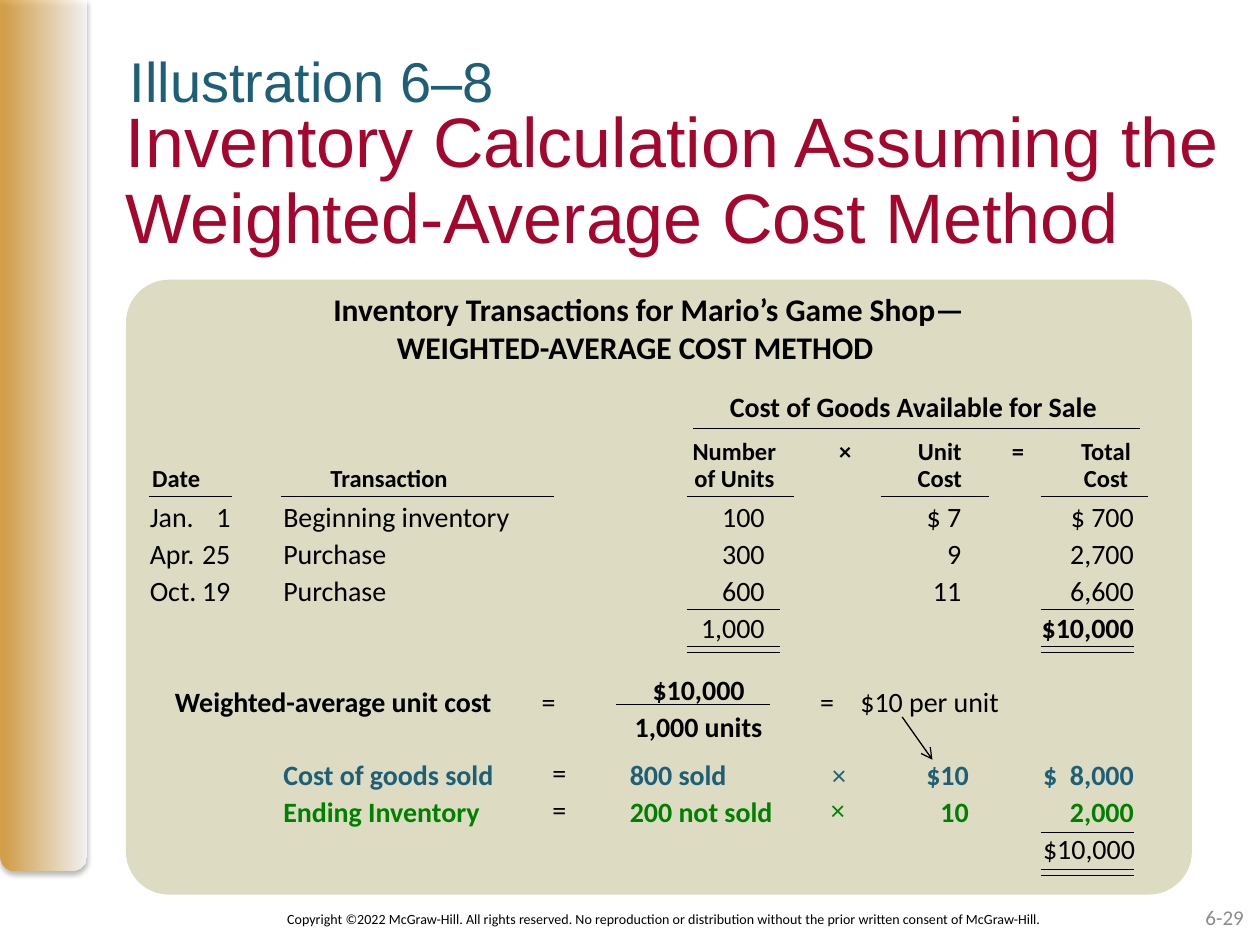
from typing import NamedTuple

from lxml import etree
from pptx import Presentation
from pptx.dml.color import RGBColor
from pptx.enum.shapes import MSO_CONNECTOR, MSO_SHAPE
from pptx.enum.text import MSO_ANCHOR, PP_ALIGN as Align
from pptx.oxml.ns import qn
from pptx.util import Inches, Pt

BLACK, TEAL, GREEN, CRIMSON, GRAY = "000000", "1D5F76", "008000", "A5062D", "8C8C8C"


class Span(NamedTuple):
    text: str
    bold: bool = False
    color: str = BLACK


class Tab(NamedTuple):
    position: float
    align: str = "l"


class Line(NamedTuple):
    spans: list[Span]
    tabs: list[Tab] = []
    space_before: float = 0


class Box(NamedTuple):
    left: float
    top: float
    width: float
    height: float


class Rule(NamedTuple):
    left: float
    right: float
    y: float


def rgb(hex_color: str) -> RGBColor:
    return RGBColor.from_string(hex_color)


def child(parent, tag: str, **attributes):
    element = etree.SubElement(parent, qn(tag))
    for name, value in attributes.items():
        element.set(name, str(value))
    return element


def set_opacity(fill_element, percent: int) -> None:
    for color in fill_element.iter(qn("a:srgbClr")):
        child(color, "a:alpha", val=percent * 1000)


def add_text(slide, box: Box, lines: list[Line], size: float, font: str = "Calibri",
             align: Align = Align.LEFT, spacing: float = 1.0, inset: bool = True,
             anchor: MSO_ANCHOR = MSO_ANCHOR.TOP) -> None:
    frame = slide.shapes.add_textbox(*map(Inches, box)).text_frame
    frame.word_wrap = True
    frame.vertical_anchor = anchor
    if not inset:
        frame.margin_left = frame.margin_right = frame.margin_top = frame.margin_bottom = 0
    for index, line in enumerate(lines):
        paragraph = frame.paragraphs[0] if index == 0 else frame.add_paragraph()
        if line.tabs:
            tab_list = child(paragraph._p.get_or_add_pPr(), "a:tabLst")
            for tab in line.tabs:
                child(tab_list, "a:tab", pos=Inches(tab.position), algn=tab.align)
        paragraph.alignment = align
        paragraph.line_spacing = spacing
        if line.space_before:
            paragraph.space_before = Pt(line.space_before)
        for span in line.spans:
            run = paragraph.add_run()
            run.text = span.text
            run.font.name, run.font.size, run.font.bold = font, Pt(size), span.bold
            run.font.color.rgb = rgb(span.color)


def add_line(slide, x1: float, y1: float, x2: float, y2: float, arrow: bool = False) -> None:
    connector = slide.shapes.add_connector(MSO_CONNECTOR.STRAIGHT, *map(Inches, (x1, y1, x2, y2)))
    connector.line.color.rgb = rgb(BLACK)
    connector.line.width = Pt(0.75)
    if arrow:
        child(connector.line._ln, "a:tailEnd", type="arrow")
    child(connector._element.spPr, "a:effectLst")


def add_sidebar(slide) -> None:
    bar = slide.shapes.add_shape(MSO_SHAPE.ROUND_2_SAME_RECTANGLE, 0, 0, Inches(0.69), Inches(6.91))
    properties = bar._element.spPr
    properties.find(qn("a:xfrm")).set("flipV", "1")
    bar.line.fill.background()
    bar.fill.gradient()
    bar.fill.gradient_angle = 0
    for stop, color, position in zip(bar.fill.gradient_stops, ("D49323", "FFFFFF"), (0, 1)):
        stop.color.rgb = rgb(color)
        stop.position = position
    set_opacity(properties.find(qn("a:gradFill")), 80)
    effects = child(properties, "a:effectLst")
    shadow = child(effects, "a:outerShdw", blurRad=Pt(3.1), dist=Pt(1.8), dir=90 * 60000, rotWithShape=0)
    child(child(shadow, "a:srgbClr", val=BLACK), "a:alpha", val=35000)


def add_panel(slide) -> None:
    panel = slide.shapes.add_shape(MSO_SHAPE.ROUNDED_RECTANGLE, *map(Inches, (1, 2.22, 8.46, 4.88)))
    panel.adjustments[0] = 0.07
    panel.shadow.inherit = False
    panel.line.fill.background()
    panel.fill.solid()
    panel.fill.fore_color.rgb = rgb("D4D0B0")
    set_opacity(panel._element.spPr.find(qn("a:solidFill")), 75)


def add_ledger(slide) -> None:
    ledger_tabs = [Tab(0.64, "r"), Tab(1.06), Tab(4.88, "r"), Tab(6.44, "r"), Tab(7.81, "r")]
    average_tabs = [Tab(0.2), Tab(3.11), Tab(5.32), Tab(5.64)]
    split_tabs = [Tab(1.06), Tab(3.81), Tab(6.5, "r"), Tab(7.09), Tab(7.81, "r")]
    gap = 21
    purchases = [
        "Jan.\t1\tBeginning inventory\t100\t$ 7\t$ 700",
        "Apr.\t25\tPurchase\t300\t9\t2,700",
        "Oct.\t19\tPurchase\t600\t11\t6,600",
    ]
    lines = [Line([Span(purchase)], ledger_tabs) for purchase in purchases]
    lines += [
        Line([Span("\t\t\t1,000\t\t"), Span("$10,000", True)], ledger_tabs),
        Line([Span("\tWeighted-average unit cost", True), Span("\t=\t=\t$10 per unit")],
             average_tabs, gap),
        Line([Span("\tCost of goods sold\t800 sold\t$10\t$\t8,000", True, TEAL)], split_tabs, gap),
        Line([Span("\tEnding Inventory\t200 not sold\t10\t\t2,000", True, GREEN)], split_tabs),
        Line([Span("\t\t\t\t\t$10,000")], split_tabs),
    ]
    add_text(slide, Box(1.09, 3.89, 8.02, 3.35), lines, 16, spacing=1.1)


def add_headings(slide) -> None:
    add_text(slide, Box(1.25, 2.25, 7.8, 0.71),
             [Line([Span("Inventory Transactions for Mario’s Game Shop—", True)]),
              Line([Span("WEIGHTED-AVERAGE COST METHOD \t", True)])], 18, align=Align.CENTER)
    add_text(slide, Box(5.5, 3.04, 3.5, 0.37),
             [Line([Span("Cost of Goods Available for Sale", True)])], 16, align=Align.CENTER)
    centers = (0.62, 1.88, 2.5, 4.62, 5.5, 6.25, 6.87, 7.57)
    column_tabs = [Tab(center, "ctr") for center in centers]
    column_heads = ["\t\t\t\tNumber\t×\tUnit\t=\tTotal",
                    "Date\t\tTransaction\t\tof Units\t\tCost\t\tCost"]
    add_text(slide, Box(1.11, 3.44, 8.08, 0.53),
             [Line([Span(head, True)], column_tabs) for head in column_heads], 14, spacing=0.9)


def add_unit_cost(slide) -> None:
    add_text(slide, Box(4.93, 5.26, 1.23, 0.69),
             [Line([Span(part, True)]) for part in ("$10,000", "1,000 units")],
             16, align=Align.CENTER, spacing=1.1)
    for left, top, sign, color in ((4.22, 5.95, "=", BLACK), (4.22, 6.24, "=", BLACK),
                                   (6.44, 5.96, "×", TEAL), (6.43, 6.24, "×", GREEN)):
        add_text(slide, Box(left, top, 0.44, 0.37), [Line([Span(sign, color=color)])],
                 16, align=Align.CENTER)
    add_line(slide, 7.16, 5.69, 7.4, 6.03, arrow=True)


def add_rules(slide) -> None:
    column_edges = ((1.18, 1.84), (2.23, 4.4), (5.45, 6.3), (6.99, 7.85), (8.26, 9.11))
    total_blocks = ((5.45, 4.84), (8.26, 4.84), (8.26, 6.61))
    rules = [Rule(5.5, 9.05, 3.4), Rule(4.89, 6.11, 5.59)]
    rules += [Rule(left, right, 3.94) for left, right in column_edges]
    rules += [Rule(left, left + 0.74, top + drop)
              for left, top in total_blocks for drop in (0, 0.29, 0.34)]
    for rule in rules:
        add_line(slide, rule.left, rule.y, rule.right, rule.y)


def main() -> None:
    presentation = Presentation()
    presentation.slide_width, presentation.slide_height = Inches(10), Inches(7.5)
    slide = presentation.slides.add_slide(presentation.slide_layouts[6])
    add_sidebar(slide)
    add_text(slide, Box(1.46, 7.18, 7.63, 0.24),
             [Line([Span("Copyright ©2022 McGraw-Hill. All rights reserved. No reproduction or "
                         "distribution without the prior written consent of McGraw-Hill.")])],
             8, align=Align.CENTER)
    add_text(slide, Box(7.64, 7.08, 2.33, 0.4), [Line([Span("6-29", color=GRAY)])],
             12, align=Align.RIGHT, anchor=MSO_ANCHOR.MIDDLE)
    add_text(slide, Box(1, 0.85, 9, 1.25),
             [Line([Span("Inventory Calculation Assuming the Weighted-Average Cost Method",
                         color=CRIMSON)])], 40, "Arial", spacing=0.9, inset=False)
    add_text(slide, Box(1.03, 0.37, 5.76, 0.46), [Line([Span("Illustration 6–8", color=TEAL)])],
             32, "Arial", inset=False)
    add_panel(slide)
    add_ledger(slide)
    add_headings(slide)
    add_unit_cost(slide)
    add_rules(slide)
    presentation.save("out.pptx")


if __name__ == "__main__":
    main()
